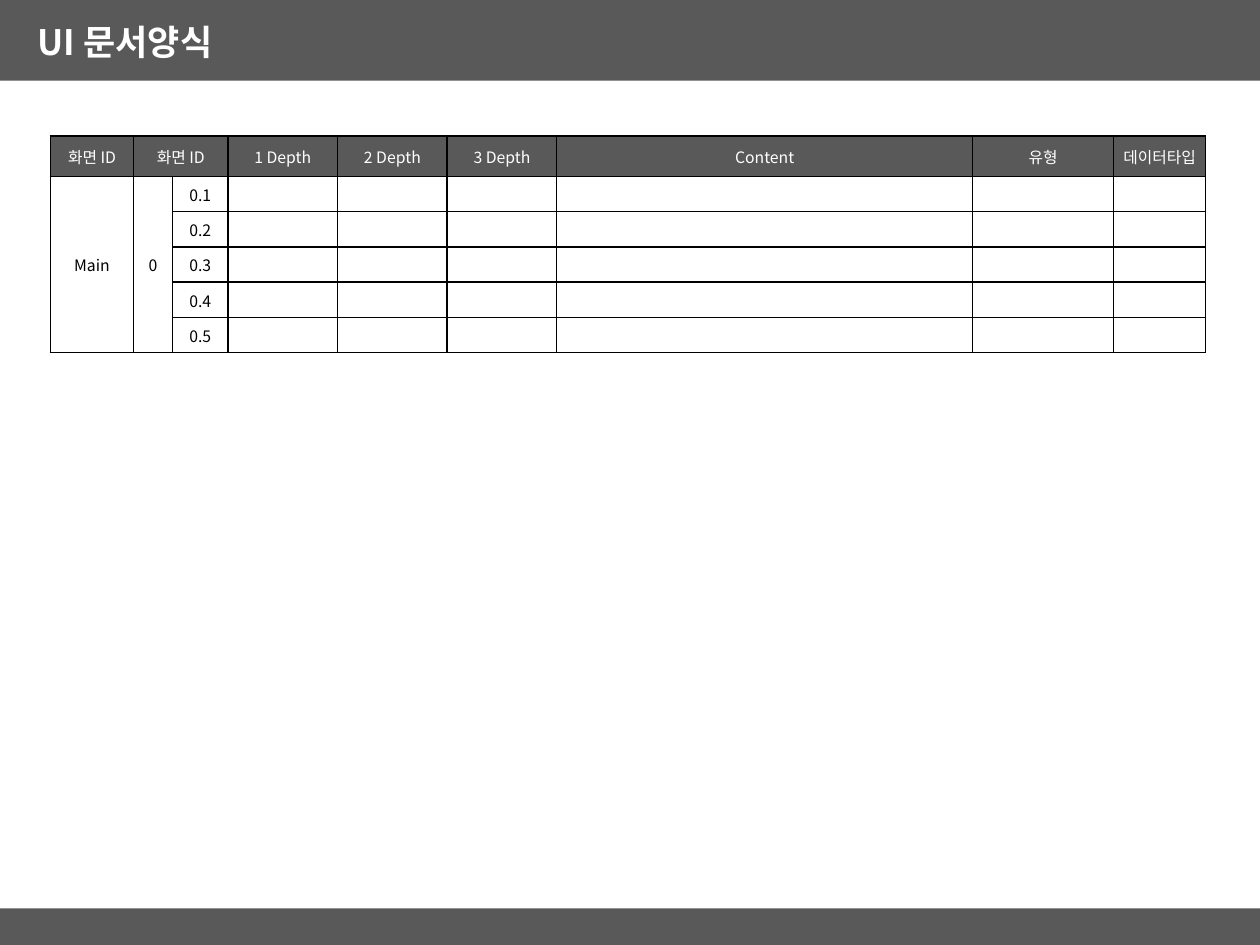
import pptx
import pptx.util
import pptx.dml.color
import pptx.enum.shapes
import pptx.enum.text
import pptx.oxml
import pptx.oxml.ns
from lxml import etree

Inches = pptx.util.Inches
Pt = pptx.util.Pt

FONT = "Noto Sans CJK KR"
COLORS = {"band": "595959", "white": "FFFFFF", "black": "000000"}
BODY_SIZE = 9

COLUMN_WIDTHS = [0.66, 0.31, 0.44, 0.87, 0.87, 0.87, 3.3, 1.12, 0.73]
HEADER_HEIGHT, ROW_HEIGHT = 0.32, 0.28
HEADERS = ["화면 ID", "화면 ID", "", "1 Depth", "2 Depth", "3 Depth",
           "Content", "유형", "데이터타입"]
SCREEN_ROWS = 5


def rgb(name):
    return pptx.dml.color.RGBColor.from_string(COLORS[name])


def format_runs(paragraph, size, color, bold=False):
    for run in paragraph.runs:
        run.font.name = FONT
        run.font.size = Pt(size)
        run.font.bold = bold
        run.font.color.rgb = rgb(color)
        # Korean text takes its font from the East Asian slot
        east_asian = etree.SubElement(run.font._element, pptx.oxml.ns.qn("a:ea"))
        east_asian.set("typeface", FONT)


def add_band(slide, top, height):
    shape = slide.shapes.add_shape(
        pptx.enum.shapes.MSO_SHAPE.RECTANGLE, 0, Inches(top), Inches(10), Inches(height))
    shape.shadow.inherit = False
    shape.fill.solid()
    shape.fill.fore_color.rgb = rgb("band")
    shape.line.fill.background()


def add_title(slide, text):
    box = slide.shapes.add_textbox(Inches(0.2), Inches(0.11), Inches(9.53), Inches(0.44))
    box.text_frame.word_wrap = True
    box.text_frame.text = text
    format_runs(box.text_frame.paragraphs[0], 20, "white", bold=True)


def set_borders(cell):
    properties = cell._tc.get_or_add_tcPr()
    for position, side in enumerate(("lnL", "lnR", "lnT", "lnB")):
        line = pptx.oxml.parse_xml(
            f'<a:{side} {pptx.oxml.ns.nsdecls("a")} w="{Pt(1)}"><a:solidFill>'
            f'<a:srgbClr val="{COLORS["black"]}"/></a:solidFill></a:{side}>')
        properties.insert(position, line)


def fill_cell(cell, text, is_header):
    cell.margin_left = cell.margin_right = cell.margin_top = Inches(0.01)
    cell.margin_bottom = 0
    cell.vertical_anchor = pptx.enum.text.MSO_ANCHOR.MIDDLE
    if is_header:
        cell.fill.solid()
        cell.fill.fore_color.rgb = rgb("band")
    else:
        cell.fill.background()
    set_borders(cell)

    paragraph = cell.text_frame.paragraphs[0]
    paragraph.text = text
    paragraph.alignment = pptx.enum.text.PP_ALIGN.CENTER
    format_runs(paragraph, BODY_SIZE, "white" if is_header else "black")
    if not text:
        # Keeps empty rows at their set height
        end = etree.SubElement(paragraph._p, pptx.oxml.ns.qn("a:endParaRPr"))
        end.set("sz", str(BODY_SIZE * 100))


def add_screen_table(slide):
    blanks = [""] * (len(HEADERS) - 3)
    rows = [HEADERS]
    for number in range(1, SCREEN_ROWS + 1):
        group = ["Main", "0"] if number == 1 else ["", ""]
        rows.append(group + [f"0.{number}"] + blanks)

    heights = [HEADER_HEIGHT] + [ROW_HEIGHT] * SCREEN_ROWS
    frame = slide.shapes.add_table(
        len(rows), len(HEADERS), Inches(0.4), Inches(1.08),
        Inches(sum(COLUMN_WIDTHS)), Inches(sum(heights)))
    table = frame.table
    table.first_row = table.horz_banding = False
    for column, width in zip(table.columns, COLUMN_WIDTHS):
        column.width = Inches(width)
    for row, height in zip(table.rows, heights):
        row.height = Inches(height)

    for row_index, texts in enumerate(rows):
        for column_index, text in enumerate(texts):
            fill_cell(table.cell(row_index, column_index), text, row_index == 0)

    # Merged header and screen group cells
    table.cell(0, 1).merge(table.cell(0, 2))
    for column_index in (0, 1):
        table.cell(1, column_index).merge(table.cell(SCREEN_ROWS, column_index))


def main():
    presentation = pptx.Presentation()
    presentation.slide_width = Inches(10)
    presentation.slide_height = Inches(7.5)
    slide = presentation.slides.add_slide(presentation.slide_layouts[6])

    # Header and footer bands
    add_band(slide, 0, 0.64)
    add_band(slide, 7.21, 0.29)
    add_title(slide, "UI 문서양식")

    # Screen list
    add_screen_table(slide)
    presentation.save("out.pptx")


if __name__ == "__main__":
    main()
